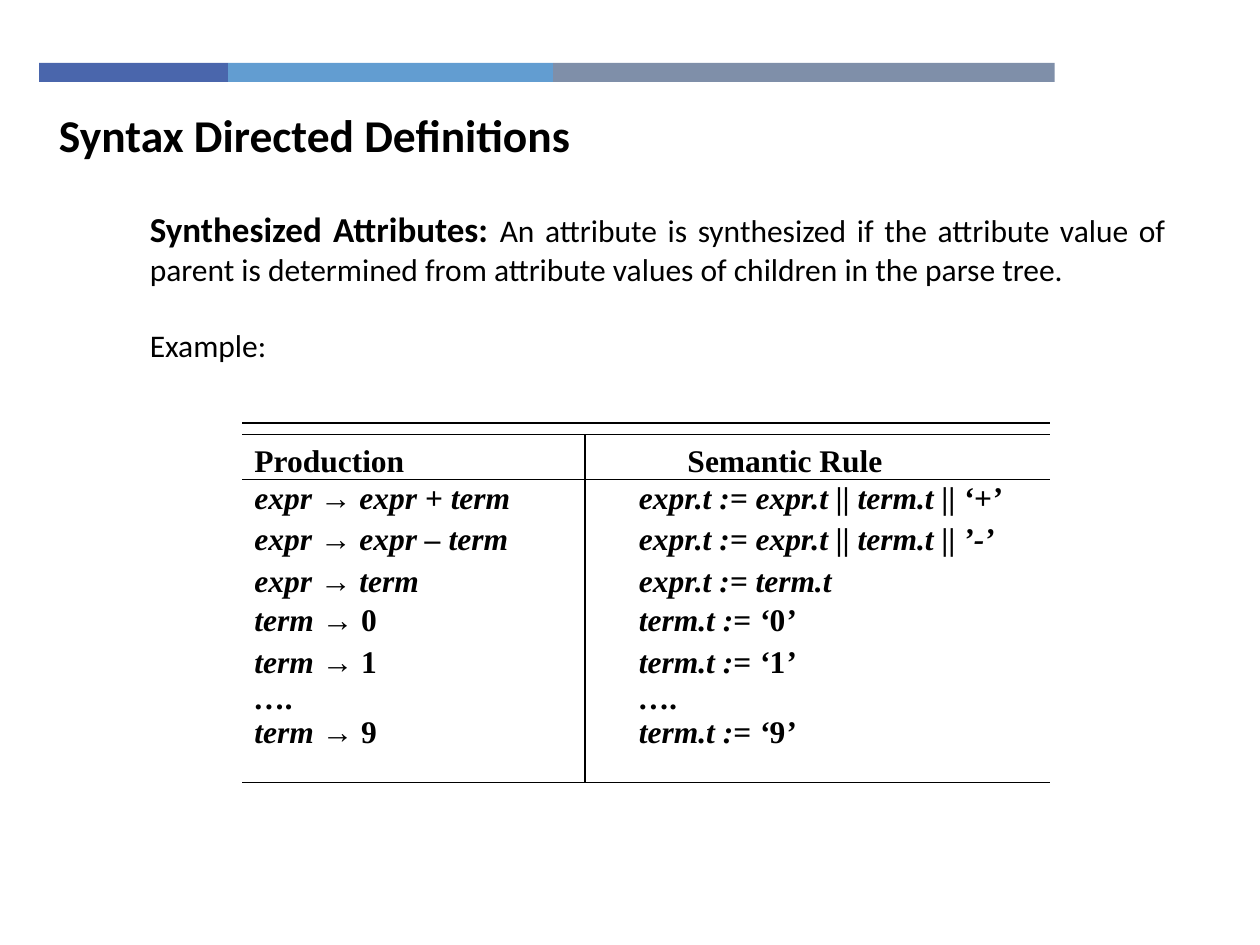
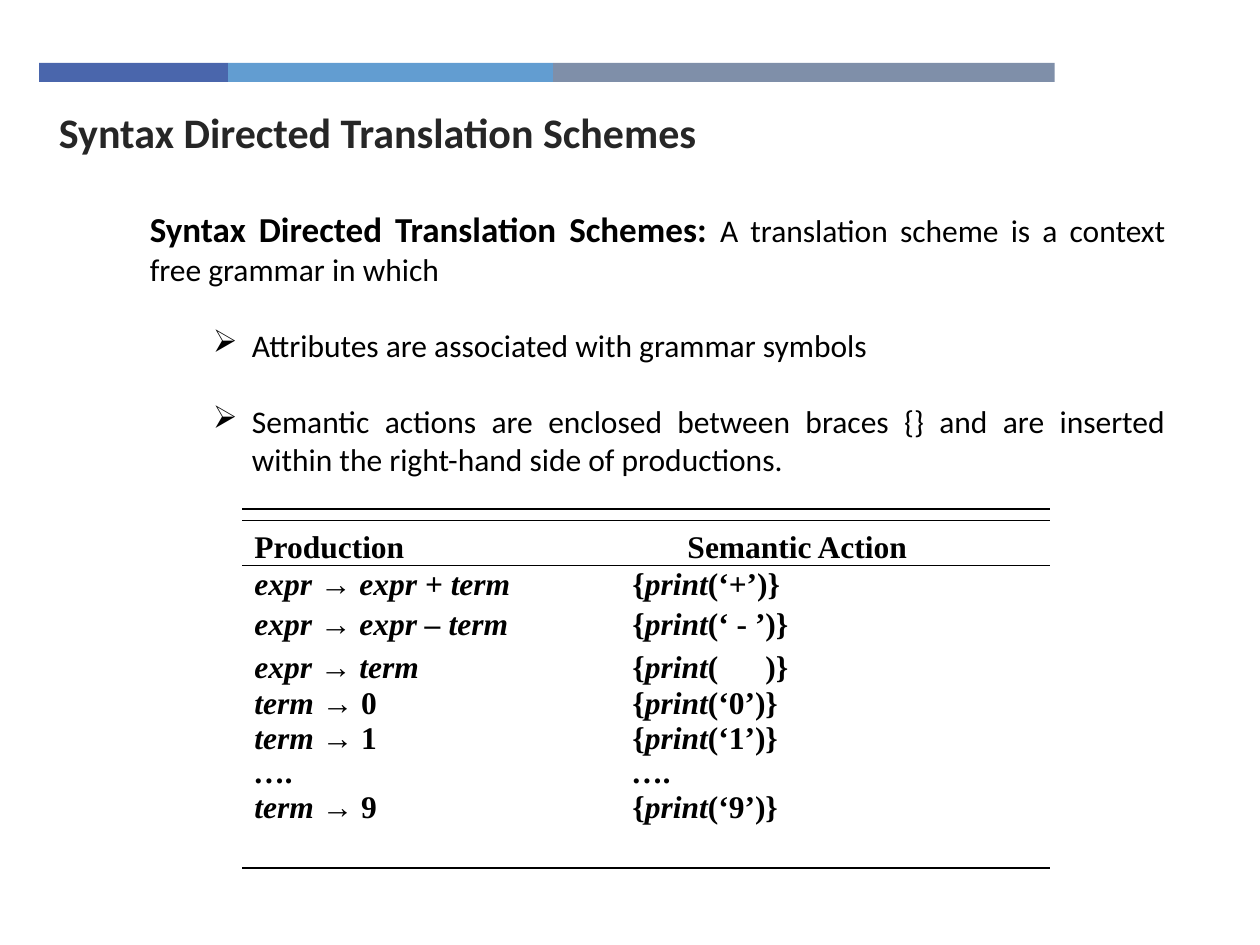
"""Build two slides on syntax directed definitions and translation schemes."""
import pptx
import pptx.dml.color
import pptx.enum.shapes
import pptx.enum.text
import pptx.oxml.ns
import pptx.util
from lxml import etree

Cm = pptx.util.Cm
Pt = pptx.util.Pt
RGBColor = pptx.dml.color.RGBColor
qn = pptx.oxml.ns.qn

INDIGO = RGBColor(0x4A, 0x66, 0xAC)
SKY = RGBColor(0x62, 0x9D, 0xD1)
SLATE = RGBColor(0x7F, 0x8F, 0xA9)
BLACK = RGBColor(0, 0, 0)
CHARCOAL = RGBColor(0x26, 0x26, 0x26)

BANDS = [(3.81, INDIGO), (6.55, SKY), (10.11, SLATE)]
RULE_LEFT, RULE_RIGHT, COLUMN_RULE = 4.88, 21.16, 11.79
HEADER_TAB = 8.73

SLIDES = [
    {
        "title": ("Syntax Directed Definitions", 26, BLACK),
        "lead": "Synthesized Attributes: ",
        "definition": "An attribute is synthesized if the attribute value of parent is "
                      "determined from attribute values of children in the parse tree.",
        "points": ["Example:"],
        "bulleted": False,
        "grammar_top": 8.76,
        "column_rule": True,
        "tabs": [7.75],
        "header": "Production\tSemantic Rule",
        "rows": [
            (0.5, "*expr *→* expr + term\texpr.t := expr.t || term.t || ‘+’*"),
            (0.7, "*expr *→* expr – term\texpr.t := expr.t || term.t || ’-’*"),
            (0.7, "*expr *→* term\texpr.t := term.t*"),
            (0.6, "*term *→ 0*\tterm.t := ‘*0*’*"),
            (0.7, "*term *→ 1*\tterm.t := ‘*1*’*"),
            (0.5, "*….\t….*"),
            (0.5, "*term *→ 9*\tterm.t := ‘*9*’*"),
        ],
    },
    {
        "title": ("Syntax Directed Translation Schemes", 24, CHARCOAL),
        "lead": "Syntax Directed Translation Schemes: ",
        "definition": "A translation scheme is a context free grammar in which",
        "points": [
            "Attributes are associated with grammar symbols",
            "Semantic actions are enclosed between braces {} and are inserted "
            "within the right-hand side of productions.",
        ],
        "bulleted": True,
        "grammar_top": 10.49,
        "column_rule": False,
        "tabs": [7.62, 10.3],
        "header": "Production\tSemantic Action",
        "rows": [
            (0.5, "*expr *→* expr + term*\t{*print*(‘+’)}"),
            (0.7, "*expr *→* expr – term*\t{*print*(‘ - ’)}"),
            (0.7, "*expr *→* term*\t{*print*(\t)}"),
            (0.5, "*term *→ 0\t{*print*(‘0’)}"),
            (0.5, "*term *→ 1\t{*print*(‘1’)}"),
            (0.5, "*….\t….*"),
            (0.5, "*term *→ 9\t{*print*(‘9’)}"),
        ],
    },
]


def add_text_box(slide, left, top, width, height):
    """Add a wrapping text box and return its text frame."""
    text_frame = slide.shapes.add_textbox(Cm(left), Cm(top), Cm(width), Cm(height)).text_frame
    text_frame.word_wrap = True
    return text_frame


def add_run(paragraph, text, size, font_name="Calibri", color=BLACK, bold=True, italic=False):
    """Append a formatted run to a paragraph."""
    run = paragraph.add_run()
    run.text = text
    run.font.size = Pt(size)
    run.font.name = font_name
    run.font.color.rgb = color
    run.font.bold = bold
    run.font.italic = italic


presentation = pptx.Presentation()
presentation.slide_width = Cm(25.4)
presentation.slide_height = Cm(19.05)

for content in SLIDES:
    slide = presentation.slides.add_slide(presentation.slide_layouts[6])

    band_left = 0.79
    for band_width, band_color in BANDS:
        band = slide.shapes.add_shape(pptx.enum.shapes.MSO_SHAPE.RECTANGLE,
                                      Cm(band_left), Cm(1.27), Cm(band_width), Cm(0.38))
        band.shadow.inherit = False
        band.fill.solid()
        band.fill.fore_color.rgb = band_color
        band.line.fill.background()
        band_left += band_width

    title, title_size, title_color = content["title"]
    title_frame = add_text_box(slide, 0.94, 2.03, 18.19, 1.37)
    add_run(title_frame.paragraphs[0], title, title_size, color=title_color)

    body_frame = add_text_box(slide, 2.77, 4.06, 20.98, 13.41)
    paragraph = body_frame.paragraphs[0]
    paragraph.alignment = pptx.enum.text.PP_ALIGN.JUSTIFY
    add_run(paragraph, content["lead"], 20)
    add_run(paragraph, content["definition"], 18, bold=False)
    for point in content["points"]:
        paragraph = body_frame.add_paragraph()
        paragraph.alignment = pptx.enum.text.PP_ALIGN.JUSTIFY
        paragraph.space_before = Pt(22)
        add_run(paragraph, point, 18, bold=False)
        if content["bulleted"]:
            paragraph.level = 1
            properties = paragraph._p.get_or_add_pPr()
            properties.set("marL", str(Cm(2.06)))
            properties.set("indent", str(Cm(-0.79)))
            etree.SubElement(properties, qn("a:buChar")).set("char", "➢")

    top = content["grammar_top"]
    grammar_frame = add_text_box(slide, RULE_LEFT, top, 19.25, 6.91)
    grammar_rows = [(1.0, content["header"], [HEADER_TAB])]
    grammar_rows += [(spacing, text, content["tabs"]) for spacing, text in content["rows"]]
    for index, (spacing, text, tabs) in enumerate(grammar_rows):
        paragraph = grammar_frame.add_paragraph() if index else grammar_frame.paragraphs[0]
        paragraph.line_spacing = spacing
        paragraph.space_before = Pt(9 if index else 0)
        tab_list = etree.SubElement(paragraph._p.get_or_add_pPr(), qn("a:tabLst"))
        for position in tabs:
            tab = etree.SubElement(tab_list, qn("a:tab"))
            tab.set("pos", str(Cm(position)))
            tab.set("algn", "l")
        for part, piece in enumerate(text.split("*")):
            if piece:
                add_run(paragraph, piece, 18, "Times New Roman", italic=part % 2 == 1)

    bottom = top + 7.01
    rules = [(RULE_LEFT, y, RULE_RIGHT, y) for y in (top, top - 0.23, bottom, top + 0.91)]
    if content["column_rule"]:
        rules.append((COLUMN_RULE, top, COLUMN_RULE, bottom))
    for ends in rules:
        rule = slide.shapes.add_connector(pptx.enum.shapes.MSO_CONNECTOR.STRAIGHT,
                                          *[Cm(value) for value in ends])
        rule.line.color.rgb = BLACK
        rule.line.width = Pt(0.75)
        etree.SubElement(rule._element.spPr, qn("a:effectLst"))

presentation.save("out.pptx")
